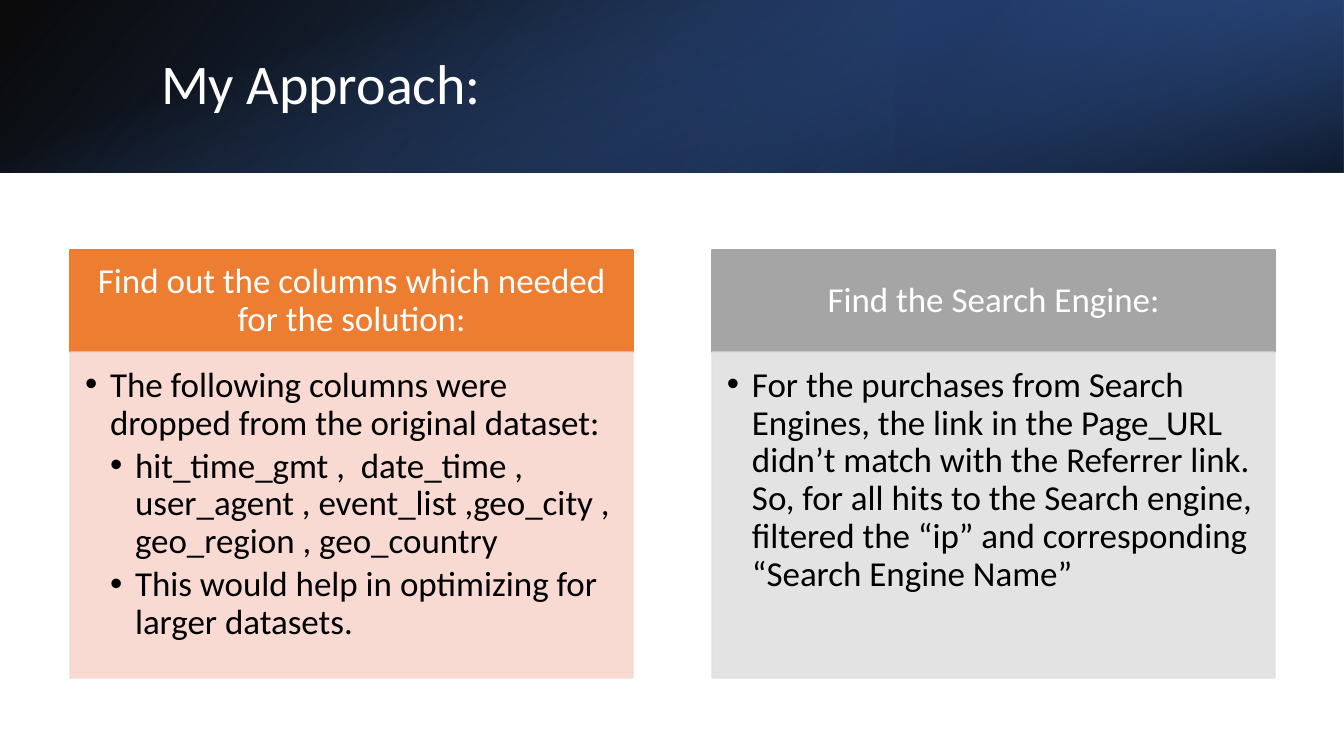
from pptx import Presentation, util as u
from pptx.dml.color import RGBColor
from pptx.enum import shapes, text
from pptx.oxml import parse_xml
from pptx.oxml.ns import nsdecls
from lxml import etree

SCALE = 914400 / 100.8  # EMU per px
SLIDE_W, SLIDE_H, BAND_H = 1344, 756, 173
FONT = "Calibri"
COLORS = {
    "white": "FFFFFF", "black": "000000", "navy": "203864", "deep": "2F5597",
    "blue": "4472C4", "orange": "ED7D31", "peach": "F8D7CE",
    "gray": "A5A5A5", "silver": "E1E1E1",
}

TITLE = "My Approach:"
# heading, heading colour, body colour, (level, text) items
CARDS = [
    ("Find out the columns which needed for the solution:", "orange", "peach", [
        (0, "The following columns were dropped from the original dataset:"),
        (1, "hit_time_gmt ,  date_time , user_agent , event_list ,geo_city , "
            "geo_region , geo_country"),
        (1, "This would help in optimizing for larger datasets."),
    ]),
    ("Find the Search Engine:", "gray", "silver", [
        (0, "For the purchases from Search Engines, the link in the Page_URL "
            "didn’t match with the Referrer link. So, for all hits to the Search "
            "engine, filtered the “ip” and corresponding “Search Engine Name”"),
    ]),
]
# box, rotation, mirrored, gradient angle, stops (position, colour, opacity)
BANDS = [
    ((0, 0, SLIDE_W, BAND_H), 0, True, 140,
     [(0, "black", 96), (100, "deep", 100)]),
    ((SLIDE_W * 2 // 3, 0, SLIDE_W // 3, BAND_H), 180, True, 320,
     [(19, "navy", 68), (100, "blue", 79)]),
    (((SLIDE_W - BAND_H) // 2, (BAND_H - SLIDE_W) // 2, BAND_H, SLIDE_W), 90, False, 340,
     [(23, "blue", 0), (99, "black", 74)]),
]
TITLE_BOX = (151, 38, 1107, 97)
CARD_X, CARD_W, CARD_STEP = 70, 563, 642
HEAD_Y, HEAD_H, BODY_H = 250, 102, 326
HEAD_INSETS, BODY_INSETS = (19, 11, 19, 11), (15, 15, 19, 22)
INDENT = 25


def px(n):
    return u.Emu(round(n * SCALE))


def rgb(name):
    return RGBColor.from_string(COLORS[name])


def place(sp, box):
    sp.left, sp.top, sp.width, sp.height = map(px, box)


def add_band(slide, box, rotation, mirrored, angle, stops):
    sp = slide.shapes.add_shape(shapes.MSO_SHAPE.RECTANGLE, *map(px, box))
    sp.rotation = rotation
    sp.shadow.inherit = False
    sp.line.fill.background()
    spPr = sp._element.spPr
    if mirrored:
        spPr.xfrm.set("flipH", "1")
    gs = "".join(
        f'<a:gs pos="{pos * 1000}"><a:srgbClr val="{COLORS[c]}">'
        f'<a:alpha val="{opacity * 1000}"/></a:srgbClr></a:gs>'
        for pos, c, opacity in stops)
    spPr.insert(2, parse_xml(
        f'<a:gradFill {nsdecls("a")} rotWithShape="1"><a:gsLst>{gs}</a:gsLst>'
        f'<a:lin ang="{angle * 60000}" scaled="0"/></a:gradFill>'))
    return sp


def paint(sp, color, opacity=100):
    sp.fill.solid()
    sp.fill.fore_color.rgb = rgb(color)
    sp.line.color.rgb = rgb(color)
    sp.line.width = u.Pt(1)
    if opacity < 100:
        for clr in sp._element.spPr.iter("{*}srgbClr"):
            clr.append(parse_xml(f'<a:alpha {nsdecls("a")} val="{opacity * 1000}"/>'))


def set_frame(sp, anchor, insets):
    tf = sp.text_frame
    tf.word_wrap = True
    tf.auto_size = text.MSO_AUTO_SIZE.NONE
    tf.vertical_anchor = anchor
    tf.margin_left, tf.margin_top, tf.margin_right, tf.margin_bottom = map(px, insets)
    return tf


def style(p, size, color, align, after=0):
    p.alignment = align
    p.line_spacing = 0.9
    p.space_before = u.Pt(0)
    p.space_after = u.Pt(after)
    for r in p.runs:
        r.font.name, r.font.size, r.font.bold = FONT, u.Pt(size), False
        r.font.color.rgb = rgb(color)


def add_bullet(p):
    pPr = p._p.get_or_add_pPr()
    pPr.set("marL", str(px(INDENT * (p.level + 1))))
    pPr.set("indent", str(-px(INDENT)))
    ns = pPr.nsmap["a"]
    etree.SubElement(pPr, f"{{{ns}}}buFont").set("typeface", "Arial")
    etree.SubElement(pPr, f"{{{ns}}}buChar").set("char", "•")


def fill_card(head, body, x, card):
    heading, head_color, body_color, items = card
    place(head, (x, HEAD_Y, CARD_W, HEAD_H))
    paint(head, head_color)
    tf = set_frame(head, text.MSO_ANCHOR.MIDDLE, HEAD_INSETS)
    tf.text = heading
    style(tf.paragraphs[0], 25, "white", text.PP_ALIGN.CENTER)

    place(body, (x, HEAD_Y + HEAD_H, CARD_W, BODY_H))
    paint(body, body_color, 90)
    tf = set_frame(body, text.MSO_ANCHOR.TOP, BODY_INSETS)
    for i, (level, item) in enumerate(items):
        p = tf.add_paragraph() if i else tf.paragraphs[0]
        p.text, p.level = item, level
        style(p, 25, "black", text.PP_ALIGN.LEFT, after=3.75)
        add_bullet(p)


def main():
    prs = Presentation()
    prs.slide_width, prs.slide_height = px(SLIDE_W), px(SLIDE_H)
    slide = prs.slides.add_slide(prs.slide_layouts.get_by_name("Comparison"))
    holders = {ph.placeholder_format.idx: ph for ph in slide.placeholders}

    title = holders[0]
    for band in BANDS:
        sp = add_band(slide, *band)
        title._element.addprevious(sp._element)  # bands lie behind the text

    place(title, TITLE_BOX)
    tf = set_frame(title, text.MSO_ANCHOR.MIDDLE, (10, 5, 10, 5))
    tf.text = TITLE
    style(tf.paragraphs[0], 40, "white", text.PP_ALIGN.LEFT)

    for i, card in enumerate(CARDS):
        fill_card(holders[2 * i + 1], holders[2 * i + 2], CARD_X + i * CARD_STEP, card)

    prs.save("out.pptx")


if __name__ == "__main__":
    main()
